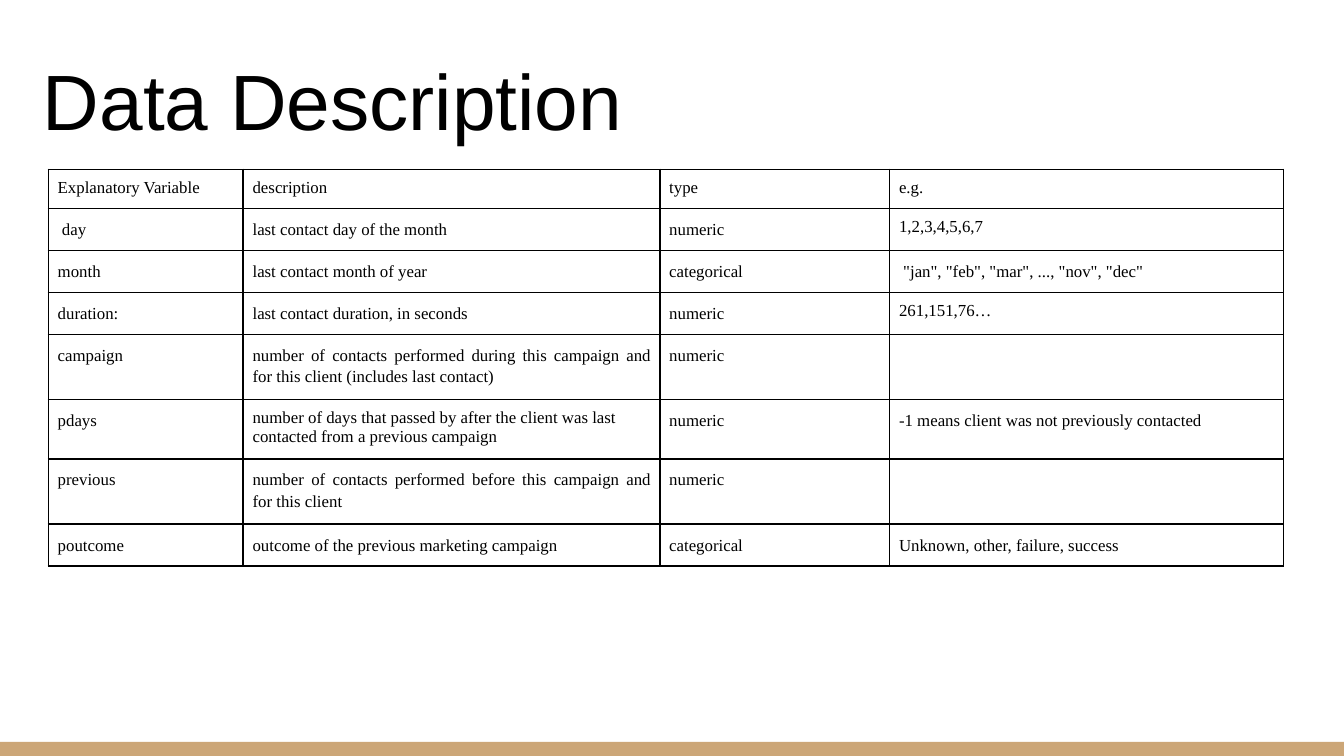
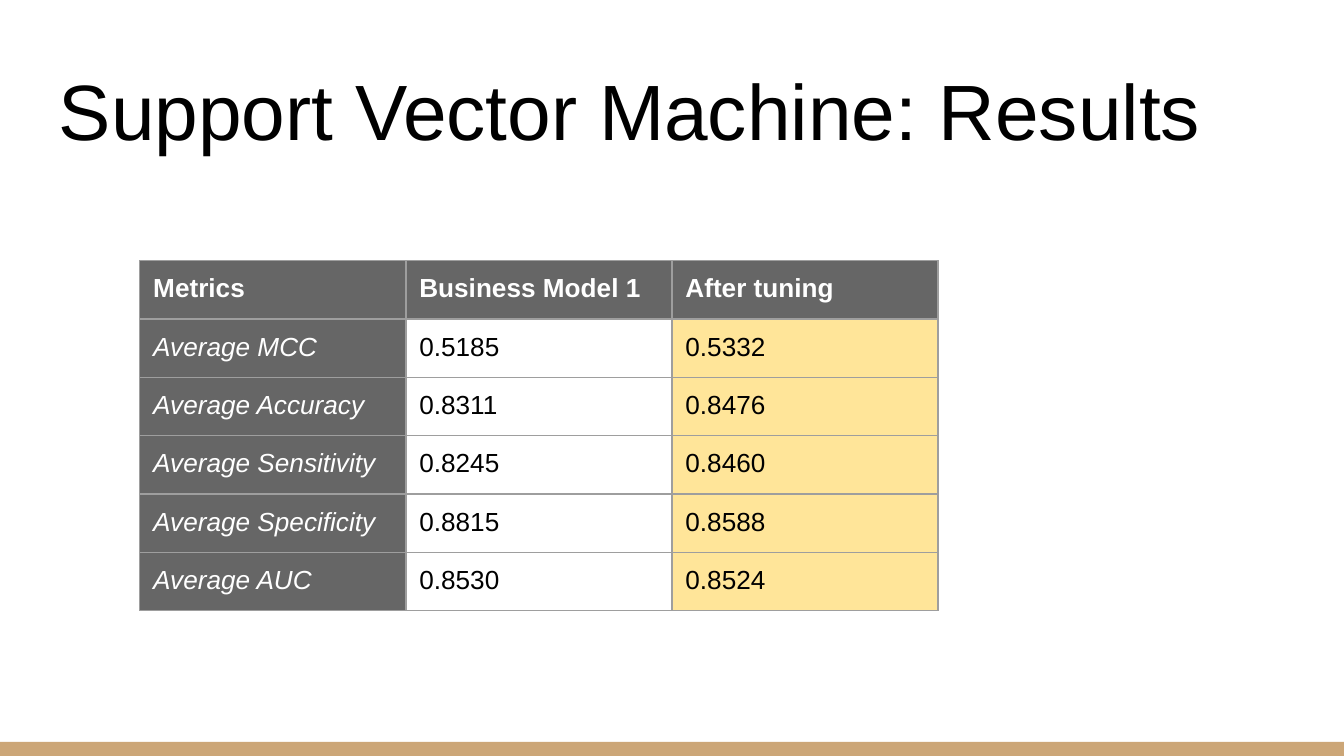
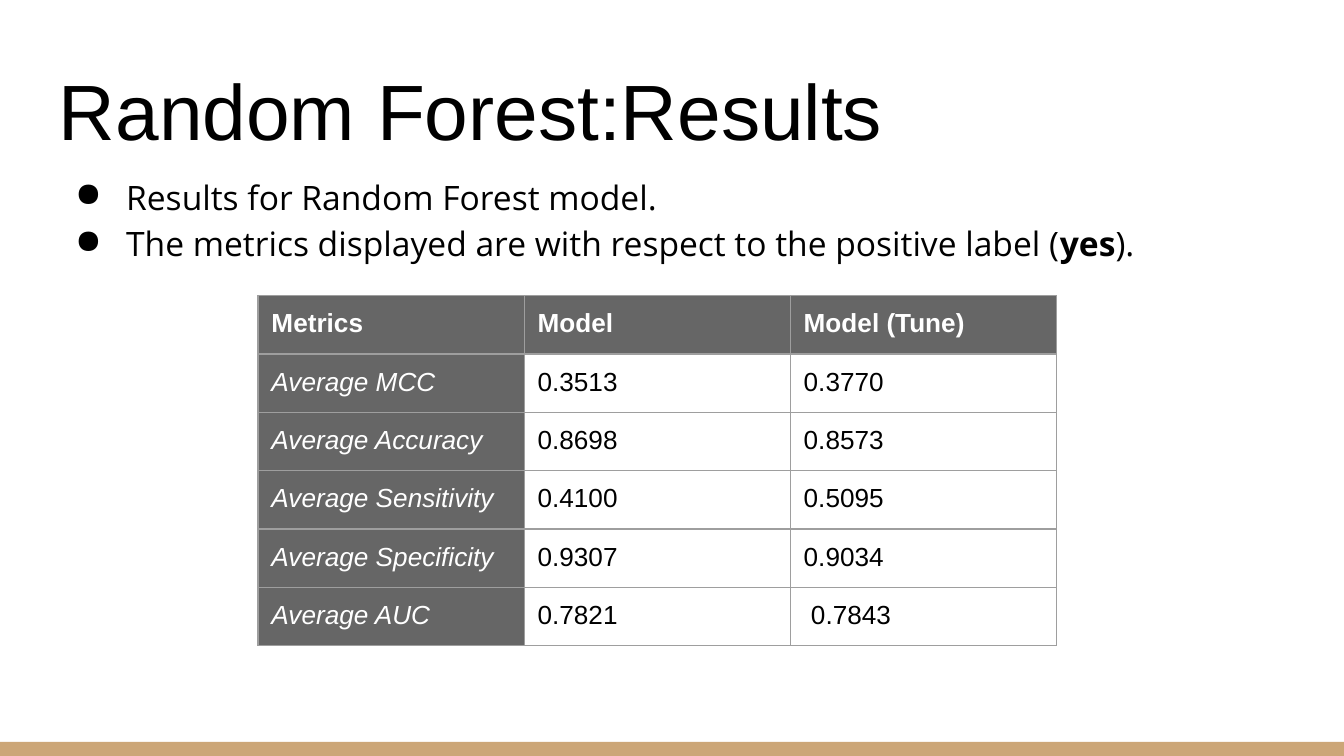
"""Build three slides: a table of variables and two tables of model results."""
from lxml import etree
from pptx import Presentation
from pptx.dml.color import RGBColor
from pptx.enum.shapes import MSO_SHAPE
from pptx.enum.text import MSO_ANCHOR, PP_ALIGN
from pptx.oxml.ns import qn
from pptx.util import Inches, Pt

RECT = MSO_SHAPE.RECTANGLE
BOTTOM, TOP = MSO_ANCHOR.BOTTOM, MSO_ANCHOR.TOP
LEFT, FULL = PP_ALIGN.LEFT, PP_ALIGN.JUSTIFY

COLS, ROWS = 100, 56.25
UNIT = Inches(0.1)
INK = {"black": "000000", "white": "FFFFFF", "tan": "CCA677",
       "dark": "666666", "grey": "9E9E9E", "gold": "FFE599"}

TITLE = {"name": "Arial", "size": Pt(42)}
BODY = {"name": "Open Sans", "size": Pt(18)}
STRONG = {**BODY, "bold": True}
SMALL = {"name": "Times New Roman", "size": Pt(9)}
VALUE = {"name": "Arial", "size": Pt(14)}
HEAD = {**VALUE, "bold": True}
LABEL = {**VALUE, "italic": True}
LOOSE = {"alignment": FULL, "line_spacing": 1.15}
TIGHT = {"alignment": LEFT}

FIELDS = [
    ("Explanatory Variable", "description", "type", "e.g."),
    (" day", "last contact day of the month", "numeric", "1,2,3,4,5,6,7"),
    ("month", "last contact month of year", "categorical",
     ' "jan", "feb", "mar", ..., "nov", "dec"'),
    ("duration:", "last contact duration, in seconds", "numeric",
     "261,151,76…"),
    ("campaign", "number of contacts performed during this campaign and "
     "for this client (includes last contact)", "numeric", ""),
    ("pdays", "number of days that passed by after the client was last "
     "contacted from a previous campaign", "numeric",
     "-1 means client was not previously contacted"),
    ("previous", "number of contacts performed before this campaign and "
     "for this client", "numeric", ""),
    ("poutcome", "outcome of the previous marketing campaign", "categorical",
     "Unknown, other, failure, success"),
]
PLAIN = {(1, 3), (3, 3), (5, 1)}
NAMES = ["MCC", "Accuracy", "Sensitivity", "Specificity", "AUC"]
VECTOR = [("0.5185", "0.5332"), ("0.8311", "0.8476"), ("0.8245", "0.8460"),
          ("0.8815", "0.8588"), ("0.8530", "0.8524")]
FOREST = [("0.3513", "0.3770"), ("0.8698", "0.8573"), ("0.4100", "0.5095"),
          ("0.9307", "0.9034"), ("0.7821", " 0.7843")]


def grid(*nums):
    """Turn grid columns and rows into lengths."""
    return [round(num * UNIT) for num in nums]


def tint(name):
    """Give the colour of that name."""
    return RGBColor.from_string(INK[name])


def apply(item, vals):
    """Set each attribute of an item from a dict."""
    for key, val in vals.items():
        setattr(item, key, val)


def pad(item, size):
    """Give a frame or cell the same margin on all sides."""
    apply(item, {f"margin_{side}": round(size * UNIT)
                 for side in ("left", "top", "right", "bottom")})


def write(para, text, font, ink="black"):
    """Add a run of text to a paragraph."""
    run = para.add_run()
    run.text = text
    apply(run.font, font)
    run.font.color.rgb = tint(ink)


def box(slide, spot, anchor):
    """Add an empty text box and return its frame."""
    frame = slide.shapes.add_textbox(*grid(*spot)).text_frame
    apply(frame, {"word_wrap": True, "vertical_anchor": anchor})
    pad(frame, 1)
    return frame


def start(deck, title, left=3.4, top=3.5):
    """Add a slide with its bottom band and title."""
    slide = deck.slides.add_slide(deck.slide_layouts[6])
    band = slide.shapes.add_shape(RECT, *grid(0, 55.2, COLS, ROWS - 55.2))
    band.shadow.inherit = False
    band.fill.solid()
    band.fill.fore_color.rgb = tint("tan")
    band.line.fill.background()
    frame = box(slide, (left, top, 93.2, 9.1), BOTTOM)
    write(frame.paragraphs[0], title, TITLE)
    return slide


def bullet(para):
    """Give a paragraph a hanging round bullet."""
    para.line_spacing = 1.15
    props = para._p.get_or_add_pPr()
    props.set("marL", str(Inches(0.5)))
    props.set("indent", str(Inches(-0.38)))
    shade = etree.SubElement(props, qn("a:buClr"))
    etree.SubElement(shade, qn("a:srgbClr"), val=INK["black"])
    etree.SubElement(props, qn("a:buChar"), char="●")


def points(slide, items):
    """Add a list of bullets, each a list of runs."""
    frame = box(slide, (3.4, 11.7, 93.2, 8.5), TOP)
    for num, runs in enumerate(items):
        para = frame.add_paragraph() if num else frame.paragraphs[0]
        bullet(para)
        for text, font in runs:
            write(para, text, font)


def edge(cell, ink, width):
    """Draw the four borders of a cell."""
    props = cell._tc.get_or_add_tcPr()
    for side in "LRTB":
        line = etree.SubElement(props, qn(f"a:ln{side}"), w=str(Pt(width)))
        fill = etree.SubElement(line, qn("a:solidFill"))
        etree.SubElement(fill, qn("a:srgbClr"), val=INK[ink])


def table(slide, spot, wide, tall, data, style, rule, gap):
    """Add a table; style gives font, ink, fill and layout of each cell."""
    frame = slide.shapes.add_table(
        len(tall), len(wide), *grid(*spot, sum(wide), sum(tall)))
    sheet = frame.table
    apply(sheet, {"first_row": False, "horz_banding": False})
    for col, size in zip(sheet.columns, grid(*wide)):
        col.width = size
    for row, size in zip(sheet.rows, grid(*tall)):
        row.height = size
    for r, texts in enumerate(data):
        for c, text in enumerate(texts):
            cell = sheet.cell(r, c)
            font, ink, fill, form = style(r, c)
            pad(cell, gap)
            edge(cell, *rule)
            cell.fill.solid()
            cell.fill.fore_color.rgb = tint(fill)
            para = cell.text_frame.paragraphs[0]
            apply(para, form)
            if text:
                write(para, text, font, ink)
            else:
                apply(para.font, font)


def field(r, c):
    """Style a cell of the variable table."""
    form = TIGHT if r == 0 or (r, c) in PLAIN else LOOSE
    return SMALL, "black", "white", form


def scores(slide, spot, heads, pairs, last):
    """Add a table of metrics with a fill for its last column."""
    def style(r, c):
        """Style a cell of the metric table."""
        if r == 0 or c == 0:
            return LABEL if r else HEAD, "white", "dark", TIGHT
        return VALUE, "black", last if c == 2 else "white", TIGHT

    data = [("Metrics", *heads)]
    data += [(f"Average {name}", *pair) for name, pair in zip(NAMES, pairs)]
    table(slide, spot, [19.8] * 3, [4.18] * len(data), data, style,
          ("grey", 0.75), 1)


def main():
    """Build the deck and save it."""
    deck = Presentation()
    deck.slide_width, deck.slide_height = grid(COLS, ROWS)

    slide = start(deck, "Data Description", 2.2, 2.8)
    table(slide, (3.6, 12.6), [14.5, 31, 17.1, 29.3],
          [2.8, 3, 3, 3, 4.55, 4.15, 4.55, 3], FIELDS, field,
          ("black", 1), 0.7)

    slide = start(deck, "Support Vector Machine: Results")
    scores(slide, (10.4, 19.4), ("Business Model 1", "After tuning"),
           VECTOR, "gold")

    slide = start(deck, "Random Forest:Results")
    points(slide, [
        [("Results for Random Forest model.", BODY)],
        [("The metrics displayed are with respect to the positive label (",
          BODY), ("yes", STRONG), (").", BODY)],
    ])
    scores(slide, (19.2, 22), ("Model", "Model (Tune)"), FOREST, "white")

    deck.save("out.pptx")


if __name__ == "__main__":
    main()
